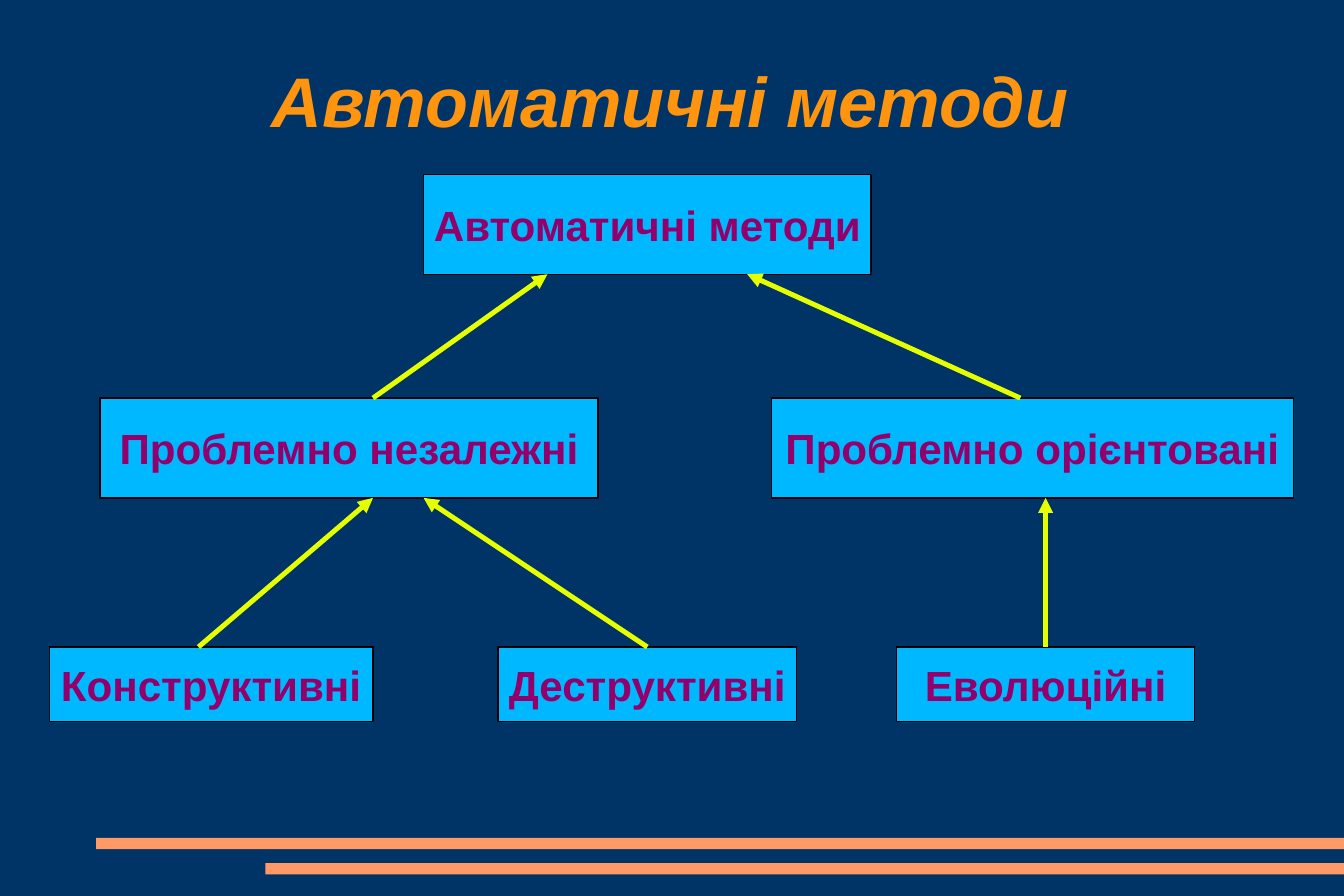
from lxml.etree import SubElement
from pptx import Presentation
from pptx.dml.color import RGBColor
from pptx.enum.shapes import MSO_CONNECTOR, MSO_SHAPE
from pptx.enum.text import MSO_ANCHOR, PP_ALIGN
from pptx.oxml.ns import qn
from pptx.util import Inches, Pt

COLORS = {
    "background": "003366",
    "bar": "FF9966",
    "title": "FF950E",
    "box": "00B8FF",
    "border": "000000",
    "label": "94006B",
    "arrow": "E6FF00",
}
SLIDE_WIDTH, SLIDE_HEIGHT = 10.63, 7.09
TOP_ROW, MIDDLE_ROW, BOTTOM_ROW = 1.38, 3.15, 5.12
TALL, LOW = 0.79, 0.59


class MethodTree:
    font_name = "Arial"

    def __init__(self, slide):
        self.slide = slide
        self.slide.background.fill.solid()
        self.slide.background.fill.fore_color.rgb = self.color("background")

    def color(self, name):
        return RGBColor.from_string(COLORS[name])

    def label(self, shape, text, size, color, italic=False, wrap=False):
        text_frame = shape.text_frame
        text_frame.text = text
        text_frame.word_wrap = wrap
        text_frame.vertical_anchor = MSO_ANCHOR.MIDDLE
        text_frame.margin_left = text_frame.margin_right = 0
        text_frame.margin_top = text_frame.margin_bottom = 0
        paragraph = text_frame.paragraphs[0]
        paragraph.alignment = PP_ALIGN.CENTER
        font = paragraph.runs[0].font
        font.name = self.font_name
        font.size = Pt(size)
        font.bold = True
        font.italic = italic
        font.color.rgb = self.color(color)

    def rectangle(self, left, top, width, height, fill):
        shape = self.slide.shapes.add_shape(
            MSO_SHAPE.RECTANGLE, Inches(left), Inches(top), Inches(width), Inches(height))
        shape.shadow.inherit = False
        shape.fill.solid()
        shape.fill.fore_color.rgb = self.color(fill)
        shape.line.fill.background()
        return shape

    def bar(self, left, top):
        self.rectangle(left, top, SLIDE_WIDTH - left, 0.09, "bar")

    def title(self, text):
        shape = self.slide.shapes.add_textbox(
            Inches(0.76), Inches(0.2), Inches(9.08), Inches(1.18))
        self.label(shape, text, 40, "title", italic=True, wrap=True)

    def box(self, text, left, top, width, height):
        shape = self.rectangle(left, top, width, height, "box")
        shape.line.color.rgb = self.color("border")
        shape.line.width = Pt(0)
        self.label(shape, text, 24, "label")
        return shape

    def arrow(self, start_x, start_y, end_x, end_y, source=None):
        connector = self.slide.shapes.add_connector(
            MSO_CONNECTOR.STRAIGHT,
            Inches(start_x), Inches(start_y), Inches(end_x), Inches(end_y))
        if source is not None:
            connector.begin_connect(source, 0)
        connector.line.color.rgb = self.color("arrow")
        connector.line.width = Pt(2.83)
        properties = connector.element.spPr
        SubElement(properties.find(qn("a:ln")), qn("a:tailEnd"), type="triangle")
        SubElement(properties, qn("a:effectLst"))


def main():
    presentation = Presentation()
    presentation.slide_width = Inches(SLIDE_WIDTH)
    presentation.slide_height = Inches(SLIDE_HEIGHT)
    tree = MethodTree(presentation.slides.add_slide(presentation.slide_layouts[6]))

    tree.bar(0.76, 6.63)
    tree.bar(2.1, 6.83)
    tree.title("Автоматичні методи")

    tree.box("Автоматичні методи", 3.35, TOP_ROW, 3.54, TALL)
    tree.box("Проблемно незалежні", 0.79, MIDDLE_ROW, 3.94, TALL)
    tree.box("Проблемно орієнтовані", 6.1, MIDDLE_ROW, 4.13, TALL)
    tree.box("Конструктивні", 0.39, BOTTOM_ROW, 2.56, LOW)
    destructive = tree.box("Деструктивні", 3.94, BOTTOM_ROW, 2.36, LOW)
    evolutionary = tree.box("Еволюційні", 7.09, BOTTOM_ROW, 2.36, LOW)

    for start_x, end_x in ((2.95, 4.33), (8.07, 5.91)):
        tree.arrow(start_x, MIDDLE_ROW, end_x, TOP_ROW + TALL)
    for start_x, end_x, source in (
            (1.57, 2.95, None), (5.12, 3.35, destructive), (8.27, 8.27, evolutionary)):
        tree.arrow(start_x, BOTTOM_ROW, end_x, MIDDLE_ROW + TALL, source)

    presentation.save("out.pptx")


if __name__ == "__main__":
    main()
